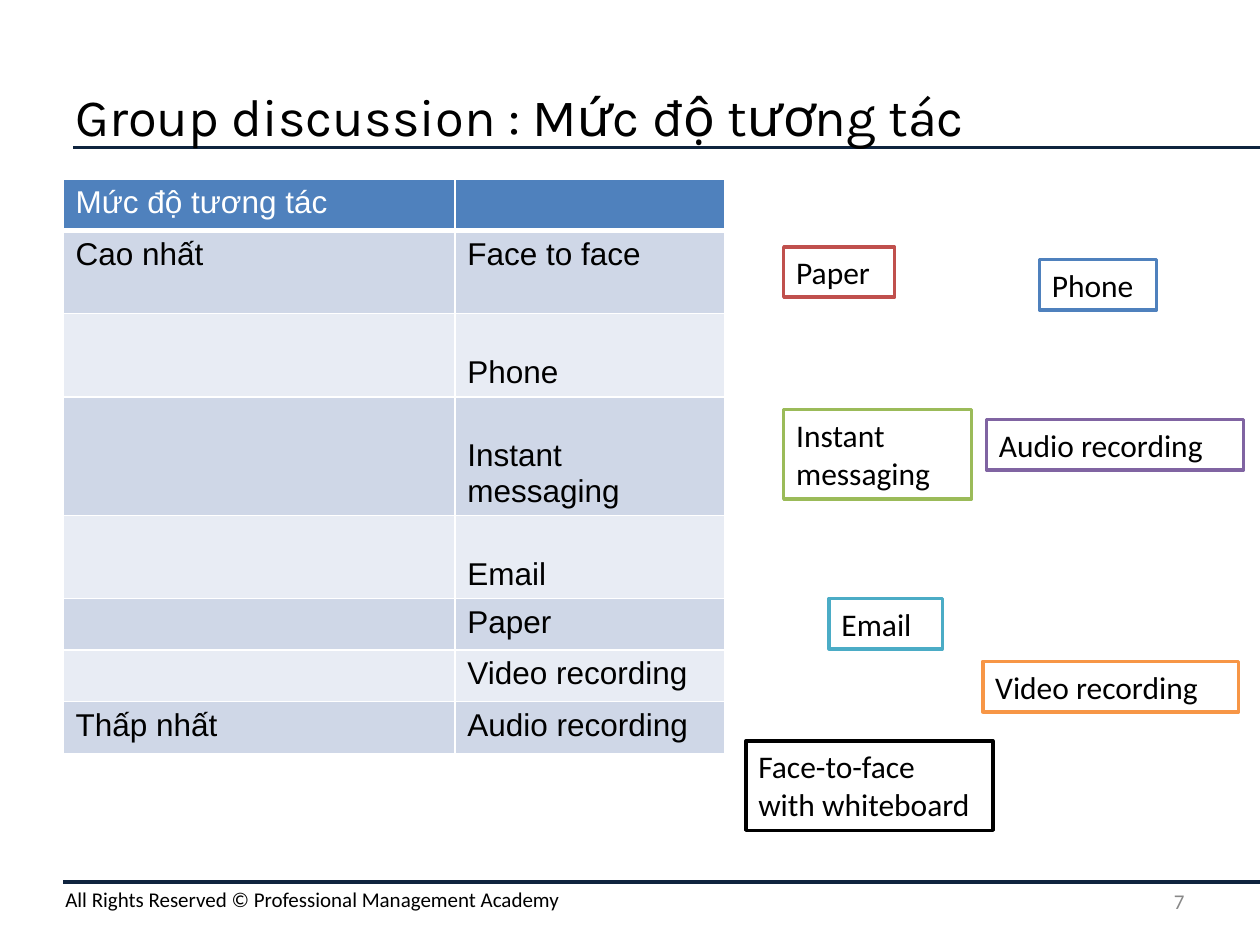
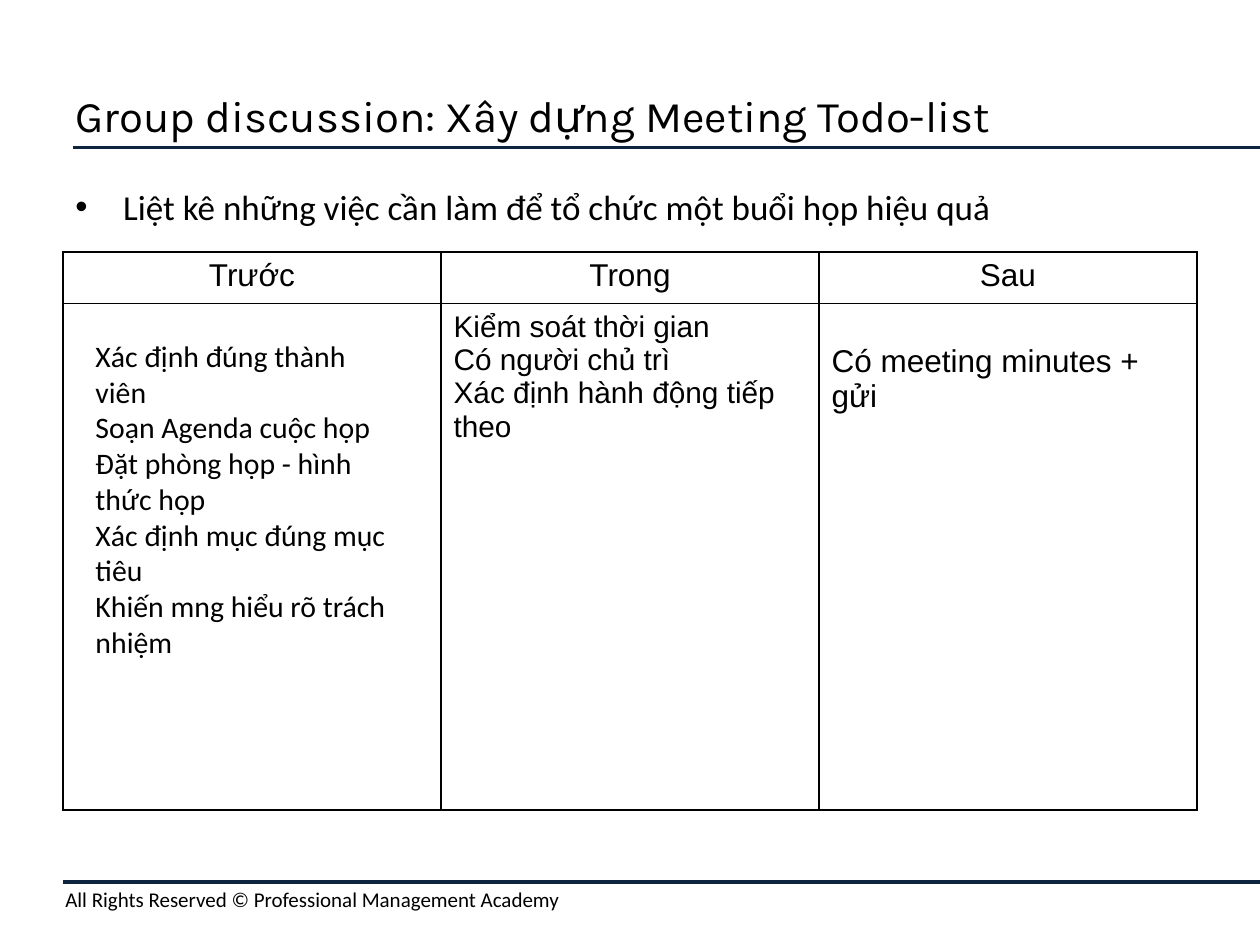
from lxml.etree import SubElement
from pptx import Presentation
from pptx.dml.color import RGBColor
from pptx.enum.shapes import MSO_CONNECTOR, MSO_SHAPE
from pptx.enum.text import MSO_ANCHOR as ANCHOR, PP_ALIGN as ALIGN
from pptx.oxml import parse_xml
from pptx.oxml.ns import nsdecls, qn
from pptx.util import Emu, Inches, Pt

NAVY = RGBColor(0x0F, 0x24, 0x3E)
BLACK = RGBColor(0x00, 0x00, 0x00)
WHITE = RGBColor(0xFF, 0xFF, 0xFF)
GREY = RGBColor(0x88, 0x88, 0x88)
BLUE = RGBColor(0x4F, 0x81, 0xBD)
RED = RGBColor(0xC0, 0x50, 0x4D)
GREEN = RGBColor(0x9B, 0xBB, 0x59)
PURPLE = RGBColor(0x80, 0x64, 0xA2)
AQUA = RGBColor(0x4B, 0xAC, 0xC6)
ORANGE = RGBColor(0xF7, 0x96, 0x46)
BANDS = [RGBColor(0xE8, 0xEC, 0xF4), RGBColor(0xCF, 0xD7, 0xE7)]

deck = Presentation()
deck.slide_width, deck.slide_height = Inches(10), Inches(7.5)
UNIT = deck.slide_width / 10  # the slide is a grid of 10 columns by 7.5 rows
LEFT, CONTENT_TOP, CONTENT_WIDTH = 0.5, 1.42, 9
RULES = [(0.58, 1.17), (LEFT, 7)]
COPYRIGHT = "All Rights Reserved © Professional Management Academy"
LABEL = {"name": "Calibri", "size": Pt(18)}
CELL = {"name": "Arial", "size": Pt(18)}


def grid(*units):
    """Turn grid units into slide lengths."""
    return [Emu(round(unit * UNIT)) for unit in units]


def write(frame, lines, font, color=BLACK, align=ALIGN.LEFT):
    """Fill a text frame with one paragraph per line."""
    frame.word_wrap = True
    for index, line in enumerate(lines):
        para = frame.add_paragraph() if index else frame.paragraphs[0]
        para.alignment = align
        span = para.add_run()
        span.text = line
        for key, value in font.items():
            setattr(span.font, key, value)
        span.font.color.rgb = color


# Title, rules and footer shared by both slides
pages = []
for title, title_size in [("Group discussion : Mức độ tương tác", 30),
                          ("Group discussion: Xây dựng Meeting Todo-list", 25)]:
    page = deck.slides.add_slide(deck.slide_layouts[6])
    pages.append(page)
    for start, height in RULES:
        rule = page.shapes.add_connector(
            MSO_CONNECTOR.STRAIGHT, *grid(start, height, 10, height))
        rule.line.color.rgb, rule.line.width = NAVY, Pt(2)
        SubElement(rule._element.spPr, qn("a:effectLst"))
    footer = page.shapes.add_textbox(*grid(0.42, 6.99, 9.58, 0.3))
    write(footer.text_frame, [COPYRIGHT], {"name": "Calibri", "size": Pt(12)})
    heading = page.shapes.add_textbox(*grid(LEFT, 0.5, CONTENT_WIDTH, 0.83))
    heading.text_frame.vertical_anchor = ANCHOR.MIDDLE
    write(heading.text_frame, [title], {"name": "Karla", "size": Pt(title_size)})
levels_page, meeting_page = pages

# Instruction above the meeting table
task = meeting_page.shapes.add_textbox(*grid(LEFT, CONTENT_TOP, CONTENT_WIDTH, 0.5))
write(task.text_frame, ["Liệt kê những việc cần làm để tổ chức một buổi họp hiệu quả"],
      {"name": "Calibri", "size": Pt(20)})
bullet = task.text_frame.paragraphs[0]._p.get_or_add_pPr()
indent, = grid(0.38)
bullet.set("marL", str(indent))
bullet.set("indent", str(-indent))
SubElement(SubElement(bullet, qn("a:buFont")).getparent(), qn("a:buChar")).set("char", "•")
bullet.find(qn("a:buFont")).set("typeface", "Arial")

# Tables: each cell is a list of lines
levels = {
    "page": levels_page, "top": CONTENT_TOP, "border": WHITE, "banded": True,
    "columns": [3.11, 2.14],
    "rows": [0.41, 0.66, 0.66, 0.94, 0.66, 0.41, 0.41, 0.41],
    "cells": [[["Mức độ tương tác"], []],
              [["Cao nhất"], ["Face to face"]],
              [[], ["Phone"]],
              [[], ["Instant messaging"]],
              [[], ["Email"]],
              [[], ["Paper"]],
              [[], ["Video recording"]],
              [["Thấp nhất"], ["Audio recording"]]],
}
meeting = {
    "page": meeting_page, "top": 2, "border": BLACK, "banded": False,
    "columns": [CONTENT_WIDTH / 3] * 3,
    "rows": [0.41, 4.02],
    "cells": [[["Trước"], ["Trong"], ["Sau"]],
              [[],
               ["Kiểm soát thời gian", "Có người chủ trì", "Xác định hành động tiếp theo"],
               ["Có meeting minutes + gửi"]]],
}
for plan in (levels, meeting):
    banded = plan["banded"]
    frame = plan["page"].shapes.add_table(
        len(plan["rows"]), len(plan["columns"]),
        *grid(LEFT, plan["top"], sum(plan["columns"]), sum(plan["rows"])))
    table = frame.table
    table.first_row = table.horz_banding = False
    for column, width in zip(table.columns, grid(*plan["columns"])):
        column.width = width
    for row, height in zip(table.rows, grid(*plan["rows"])):
        row.height = height
    for r, line_lists in enumerate(plan["cells"]):
        for c, lines in enumerate(line_lists):
            cell = table.cell(r, c)
            if banded:
                cell.fill.solid()
                cell.fill.fore_color.rgb = BANDS[r % 2] if r else BLUE
            else:
                cell.fill.background()
            font = {**CELL, "size": Pt(17)} if len(lines) > 1 else CELL
            write(cell.text_frame, lines, font,
                  WHITE if banded and r == 0 else BLACK,
                  ALIGN.CENTER if not banded and r == 0 else ALIGN.LEFT)
            for place, side in enumerate("LRTB"):
                below_header = (r, side) in [(0, "B"), (1, "T")]
                points = 3 if banded and below_header else 1
                cell._tc.get_or_add_tcPr().insert(place, parse_xml(
                    f'<a:ln{side} {nsdecls("a")} w="{Pt(points)}"><a:solidFill>'
                    f'<a:srgbClr val="{plan["border"]}"/></a:solidFill></a:ln{side}>'))
    plan["table"] = table

for r in (2, 3, 4):
    levels["table"].cell(r, 1).vertical_anchor = ANCHOR.BOTTOM
meeting["table"].cell(1, 2).margin_top, = grid(0.32)

# Page number and media labels beside the levels table
number = levels_page.shapes.add_textbox(*grid(7.17, 6.95, 2.33, 0.4))
number.text_frame.vertical_anchor = ANCHOR.MIDDLE
write(number.text_frame, ["7"], {"name": "Calibri", "size": Pt(12)}, GREY, ALIGN.RIGHT)

ONE_LINE, TWO_LINES = 0.4, 0.71
for lines, color, left, top, width in [
        (["Paper"], RED, 6.22, 1.96, 0.88),
        (["Audio recording"], PURPLE, 7.83, 3.33, 2.04),
        (["Email"], AQUA, 6.58, 4.75, 0.9),
        (["Video recording"], ORANGE, 7.8, 5.25, 2.03),
        (["Instant", "messaging"], GREEN, 6.22, 3.25, 1.49),
        (["Phone"], BLUE, 8.25, 2.06, 0.93),
        (["Face-to-face", "with whiteboard"], BLACK, 5.92, 5.88, 1.96)]:
    height = TWO_LINES if len(lines) > 1 else ONE_LINE
    label = levels_page.shapes.add_shape(
        MSO_SHAPE.RECTANGLE, *grid(left, top, width, height))
    label.shadow.inherit = False
    label.fill.solid()
    label.fill.fore_color.rgb = WHITE
    label.line.color.rgb, label.line.width = color, Pt(2)
    label.text_frame.vertical_anchor = ANCHOR.TOP
    write(label.text_frame, lines, LABEL)

# Preparation steps over the first column of the meeting table
steps = meeting_page.shapes.add_textbox(*grid(0.66, 2.58, 2.57, 2.78))
steps.text_frame.margin_top, steps.text_frame.margin_bottom = grid(0.1, 0.1)
write(steps.text_frame,
      ["Xác định đúng thành viên", "Soạn Agenda cuộc họp", "Đặt phòng họp - hình thức họp",
       "Xác định mục đúng mục tiêu", "Khiến mng hiểu rõ trách nhiệm"],
      {"name": "Calibri", "size": Pt(17)})

deck.save("out.pptx")
